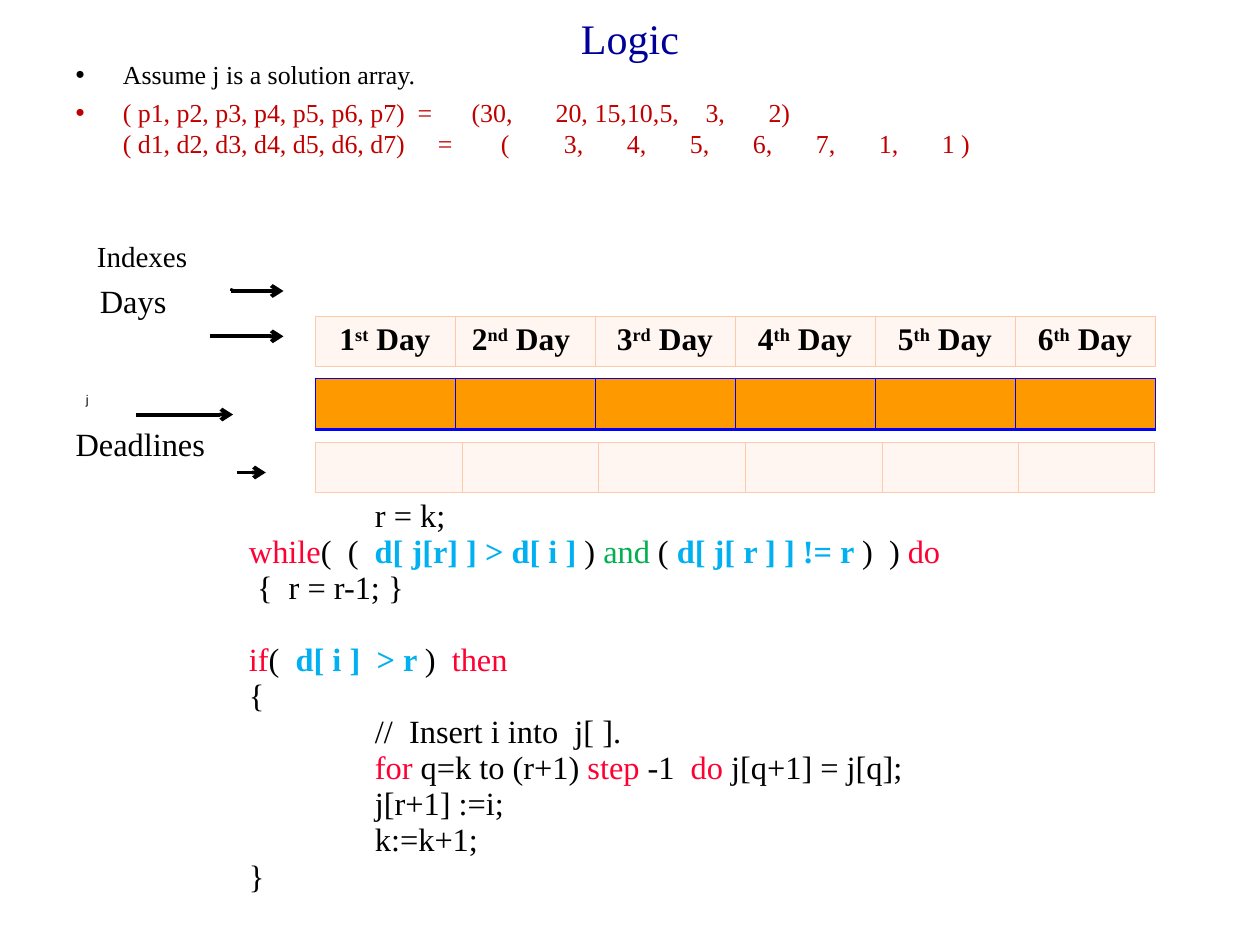
from lxml import etree
from pptx import Presentation
from pptx.dml.color import RGBColor
from pptx.enum import shapes, text
from pptx.oxml import parse_xml
from pptx.oxml.ns import nsdecls, qn
from pptx.util import Pt

THEME = {
    "serif": "Times New Roman", "sans": "Arial",
    "title": "000099", "ink": "000000", "given": "C00000",
    "keyword": "FF0033", "condition": "00B0F0", "operator": "00B050",
    "array": "FF9900", "array_edge": "0000FF", "cell": "FFF6F1", "cell_edge": "FFCAAA",
    "title_size": 24, "bullet_size": 14.8, "index_size": 16.6,
    "body_size": 18.5, "day_size": 18, "small_size": 7.2,
}

# ---- Content ----
TITLE = "Logic"
# label, values after the label, tab stops that line the values up
ASSUMPTION = "Assume j is a solution array."
GIVEN = [
    ("( p1, p2, p3, p4, p5, p6, p7)",
     ["=", "(30,", "20,", "15,", "10,", "5,", "3,", "2)"],
     [183.4, 195.4, 226.3, 248.6, 274.3, 296.6, 315.1, 333.7]),
    ("( d1, d2, d3, d4, d5, d6, d7)",
     ["=", "(", "3,", "4,", "5,", "6,", "7,", "1,", "1 )"],
     [176, 195.4, 207.8, 230, 252.2, 278.1, 296.6, 315.1, 333.7]),
]
# label, left, top, size, font
ROW_LABELS = [
    ("Indexes", 55.4, 136.1, "index_size", "serif"),
    ("Days", 57.1, 160.6, "body_size", "serif"),
    ("j", 49, 223.8, "small_size", "sans"),
    ("Deadlines", 43.2, 242.4, "body_size", "serif"),
]
DAYS = [("1", "st", " Day"), ("2", "nd", " Day "), ("3", "rd", " Day"),
        ("4", "th", " Day"), ("5", "th", " Day"), ("6", "th", " Day")]
# indent level, blank lines above, runs of (words, colour)
CODE = [
    (1, 0, [("r = k;", "ink")]),
    (0, 0, [("while", "keyword"), ("(  (  ", "ink"), ("d[ j[r] ] > d[ i ] ", "condition"),
            (") ", "ink"), ("and", "operator"), (" ( ", "ink"),
            ("d[ j[ r ] ] != r ", "condition"), (")  ) ", "ink"), ("do", "keyword")]),
    (0, 0, [(" {  r = r-1; }", "ink")]),
    (0, 1, [("if", "keyword"), ("(  ", "ink"), ("d[ i ]  > r ", "condition"),
            (")  ", "ink"), ("then", "keyword")]),
    (0, 0, [("{", "ink")]),
    (1, 0, [("//  Insert i into  j[ ].", "ink")]),
    (1, 0, [("for", "keyword"), (" q=k to (r+1) ", "ink"), ("step", "keyword"),
            (" -1 ", "ink"), (" do", "keyword"), (" j[q+1] = j[q];", "ink")]),
    (1, 0, [("j[r+1] :=i;", "ink")]),
    (1, 0, [("k:=k+1;", "ink")]),
    (0, 0, [("}", "ink")]),
]
# start x, end x, y
ARROWS = [(131.8, 162, 166.3), (120.2, 162, 192.2), (77.8, 133.2, 236.9), (135.4, 151.9, 270)]
ARROW_NOTCH = [(131.8, 166.3, 131.8, 164.9), (135.4, 166.3, 131.8, 164.9)]

TABLE_LEFT, TABLE_WIDTH = 180, 480
EVEN = [TABLE_WIDTH / len(DAYS)] * len(DAYS)
DEADLINE_WIDTHS = [84, 78, 84, 78, 78, 78]
CODE_PITCH, CODE_INDENT = 20.57, 72
BULLET_PITCH, HANG = 17.7, 27

prs = Presentation()
prs.slide_width, prs.slide_height = Pt(720), Pt(540)
slide = prs.slides.add_slide(prs.slide_layouts[6])


def color(name):
    return RGBColor.from_string(THEME[name])


def add_run(para, words, size, ink="ink", font="serif", bold=False):
    run = para.add_run()
    run.text = words
    run.font.size, run.font.name, run.font.bold = Pt(THEME[size]), THEME[font], bold
    run.font.color.rgb = color(ink)
    return run


def add_box(left, top, width, height, wrap=True):
    frame = slide.shapes.add_textbox(Pt(left), Pt(top), Pt(width), Pt(height)).text_frame
    frame.word_wrap = wrap
    frame.margin_left = frame.margin_right = frame.margin_top = frame.margin_bottom = 0
    return frame


def next_para(frame, first):
    return frame.paragraphs[0] if first else frame.add_paragraph()


def indent(para, left, hanging=0, bullet=None, stops=()):
    props = para._p.get_or_add_pPr()
    props.set("marL", str(Pt(left)))
    props.set("indent", str(Pt(-hanging)))
    if bullet:
        tint = etree.SubElement(props, qn("a:buClr"))
        etree.SubElement(tint, qn("a:srgbClr"), val=THEME[bullet])
        etree.SubElement(props, qn("a:buFont"), typeface=THEME["sans"])
        etree.SubElement(props, qn("a:buChar"), char="•")
    else:
        etree.SubElement(props, qn("a:buNone"))
    if stops:
        tabs = etree.SubElement(props, qn("a:tabLst"))
        for stop in stops:
            etree.SubElement(tabs, qn("a:tab"), pos=str(Pt(stop)), algn="l")


def add_line(x1, y1, x2, y2, weight, arrow=False):
    line = slide.shapes.add_connector(shapes.MSO_CONNECTOR.STRAIGHT, Pt(x1), Pt(y1), Pt(x2), Pt(y2))
    line.line.color.rgb, line.line.width = color("ink"), Pt(weight)
    if arrow:
        etree.SubElement(line.line._get_or_add_ln(), qn("a:tailEnd"), type="arrow")
    etree.SubElement(line._element.spPr, qn("a:effectLst"))


def add_row(top, height, widths, fill, edge, bottom=0.45):
    table = slide.shapes.add_table(1, len(widths), Pt(TABLE_LEFT), Pt(top),
                                   Pt(TABLE_WIDTH), Pt(height)).table
    table.first_row = table.horz_banding = False
    table.rows[0].height = Pt(height)
    for column, width in zip(table.columns, widths):
        column.width = Pt(width)
    for cell in table.rows[0].cells:
        props = cell._tc.get_or_add_tcPr()
        for side in "LRTB":
            weight = Pt(bottom if side == "B" else 0.45)
            props.append(parse_xml(
                f'<a:ln{side} {nsdecls("a")} w="{weight}"><a:solidFill>'
                f'<a:srgbClr val="{THEME[edge]}"/></a:solidFill></a:ln{side}>'))
        cell.fill.solid()
        cell.fill.fore_color.rgb = color(fill)
    return table.rows[0].cells


# ---- Title ----
title = add_box(54, 0, 612, 42.5)
title.vertical_anchor = text.MSO_ANCHOR.MIDDLE
title.paragraphs[0].alignment = text.PP_ALIGN.CENTER
add_run(title.paragraphs[0], TITLE, "title_size", "title")

# ---- Assumption and given values ----
bullets = add_box(43.2, 33.8, 610, 60)
para = next_para(bullets, True)
indent(para, HANG, HANG, "ink")
para.line_spacing = Pt(BULLET_PITCH)
add_run(para, ASSUMPTION, "bullet_size")
for i, (label, values, stops) in enumerate(GIVEN):
    para = next_para(bullets, False)
    indent(para, HANG, 0 if i else HANG, None if i else "given", stops)
    para.line_spacing = Pt(BULLET_PITCH)
    para.space_before = Pt(0 if i else 4)
    add_run(para, "\t".join([label] + values), "bullet_size", "given")

# ---- Row labels and arrows ----
for label, left, top, size, font in ROW_LABELS:
    add_run(add_box(left, top, 90, 22, wrap=False).paragraphs[0], label, size, font=font)
for start, end, y in ARROWS:
    add_line(start, y, end, y, 2.25, arrow=True)
for notch in ARROW_NOTCH:
    add_line(*notch, 0.75)

# ---- Day, solution array and deadline rows ----
for cell, parts in zip(add_row(180.7, 28.8, EVEN, "cell", "cell_edge"), DAYS):
    para = cell.text_frame.paragraphs[0]
    para.alignment = text.PP_ALIGN.CENTER
    for words, raised in zip(parts, (False, True, False)):
        run = add_run(para, words, "day_size", bold=True)
        if raised:
            run.font._element.set("baseline", "30000")
add_row(216, 29.5, EVEN, "array", "array_edge", bottom=1.47)
add_row(252.7, 28.8, DEADLINE_WIDTHS, "cell", "cell_edge")

# ---- Algorithm ----
code = add_box(142.3, 284.8, 520, CODE_PITCH * 11)
for i, (level, blanks, runs) in enumerate(CODE):
    para = next_para(code, i == 0)
    indent(para, level * CODE_INDENT)
    para.line_spacing = Pt(CODE_PITCH)
    para.space_before = Pt(blanks * CODE_PITCH)
    for words, ink in runs:
        add_run(para, words, "body_size", ink, bold=ink == "condition")

prs.save("out.pptx")
